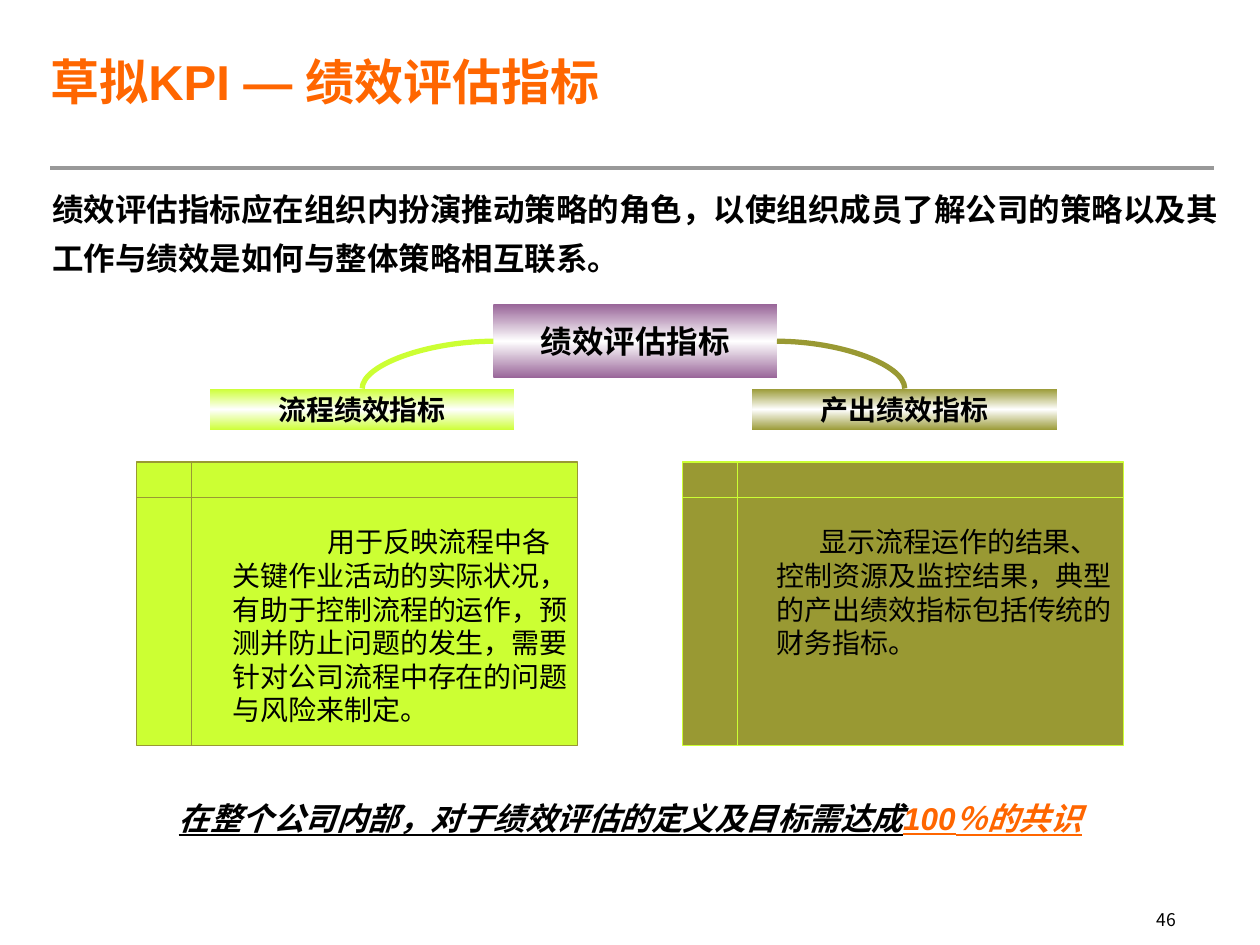
from copy import deepcopy

from lxml import etree
from pptx import Presentation
from pptx.dml.color import RGBColor
from pptx.enum.shapes import MSO_CONNECTOR, MSO_SHAPE
from pptx.enum.text import MSO_ANCHOR, PP_ALIGN
from pptx.oxml.ns import qn
from pptx.util import Pt

STRAIGHT, CURVE = MSO_CONNECTOR.STRAIGHT, MSO_CONNECTOR.CURVE
RECTANGLE, STORAGE = MSO_SHAPE.RECTANGLE, MSO_SHAPE.FLOWCHART_INTERNAL_STORAGE
TOP, MIDDLE = MSO_ANCHOR.TOP, MSO_ANCHOR.MIDDLE
LEFT, CENTER = PP_ALIGN.LEFT, PP_ALIGN.CENTER

ORANGE = RGBColor(0xFF, 0x66, 0x00)
BLACK = RGBColor(0, 0, 0)
WHITE = RGBColor(0xFF, 0xFF, 0xFF)
GRAY = RGBColor(0x99, 0x99, 0x99)
PURPLE = RGBColor(0x99, 0x66, 0x99)
LIME = RGBColor(0xCC, 0xFF, 0x33)
OLIVE = RGBColor(0x99, 0x99, 0x33)
LATIN, CJK = "Arial", "Noto Sans CJK SC"


def add_span(para, text, size=18, font=CJK, color=BLACK, bold=False,
             italic=False, underline=False):
    span = para.add_run()
    span.text = text
    span.font.size = Pt(size)
    span.font.name = font
    span.font.bold = bold
    span.font.italic = italic
    span.font.underline = underline
    span.font.color.rgb = color
    east_asian = etree.Element(qn("a:ea"), typeface=CJK)
    span.font._element.find(qn("a:latin")).addnext(east_asian)


class SlideBuilder:
    def __init__(self, page):
        self.page = page

    def set_text(self, shape, spans, align=LEFT, anchor=TOP, wrap=True,
                 spacing=None, indent=0, margins=(0, 0)):
        """Fill a shape with one paragraph of (text, format) spans."""
        frame = shape.text_frame
        frame.word_wrap = wrap
        frame.vertical_anchor = anchor
        frame.margin_left = frame.margin_right = Pt(margins[0])
        frame.margin_top = frame.margin_bottom = Pt(margins[1])
        para = frame.paragraphs[0]
        para.alignment = align
        para.line_spacing = spacing
        if indent:
            para._p.get_or_add_pPr().set("indent", str(Pt(indent)))
        for text, style in spans:
            add_span(para, text, **style)

    def text(self, left, top, width, height, spans, **layout):
        box = self.page.shapes.add_textbox(Pt(left), Pt(top), Pt(width), Pt(height))
        self.set_text(box, spans, **layout)

    def shape(self, kind, left, top, width, height):
        shape = self.page.shapes.add_shape(kind, Pt(left), Pt(top), Pt(width), Pt(height))
        shape.shadow.inherit = False
        return shape

    def banner(self, left, top, width, height, label, color, size):
        """Rectangle shaded from colour to white and back."""
        shape = self.shape(RECTANGLE, left, top, width, height)
        shape.line.fill.background()
        shape.fill.gradient()
        shape.fill.gradient_angle = 90
        for stop, position in zip(shape.fill.gradient_stops, (0, 1)):
            stop.color.rgb = color
            stop.position = position
        first = shape._element.spPr.find(".//" + qn("a:gs"))
        first.addnext(deepcopy(first))
        center = shape.fill.gradient_stops[1]
        center.color.rgb = WHITE
        center.position = 0.5
        self.set_text(shape, [(label, dict(size=size, bold=True))],
                      align=CENTER, anchor=MIDDLE, wrap=False)

    def panel(self, left, top, width, height, fill, line):
        shape = self.shape(STORAGE, left, top, width, height)
        shape.fill.solid()
        shape.fill.fore_color.rgb = fill
        shape.line.color.rgb = line
        shape.line.width = Pt(0.75)

    def line(self, kind, x1, y1, x2, y2, color, width):
        line = self.page.shapes.add_connector(kind, Pt(x1), Pt(y1), Pt(x2), Pt(y2))
        line.line.color.rgb = color
        line.line.width = Pt(width)
        properties = line._element.spPr
        etree.SubElement(properties, qn("a:effectLst"))
        if kind == CURVE:  # a single quarter bend
            properties.find(qn("a:prstGeom")).set("prst", "curvedConnector2")


def main():
    deck = Presentation()
    deck.slide_width, deck.slide_height = Pt(720), Pt(540)
    page = deck.slides.add_slide(deck.slide_layouts[6])
    builder = SlideBuilder(page)

    # Title, rule and page number
    builder.line(STRAIGHT, 28.8, 96, 694, 96, GRAY, 2.5)
    builder.text(654, 516, 62, 21.6, [("46", dict(size=10))],
                 wrap=False, margins=(7.2, 3.6))
    builder.text(28.8, 13.5, 666, 66,
                 [("草拟KPI — 绩效评估指标",
                   dict(size=28, font=LATIN, color=ORANGE, bold=True))],
                 anchor=MIDDLE)

    # Introduction
    builder.text(30, 102, 666, 60,
                 [("绩效评估指标应在组织内扮演推动策略的角色，以使组织成员了解公司的策略以及"
                   "其工作与绩效是如何与整体策略相互联系。", dict(font=LATIN, bold=True))],
                 spacing=1.3)

    # Root of the tree
    root_left, root_top, root_width, root_height = 282, 174, 162, 42
    root_middle = root_top + root_height / 2
    builder.banner(root_left, root_top, root_width, root_height,
                   "绩效评估指标", PURPLE, 18)

    # Branches: label, colours, banner left, curve start, panel left, text box
    branches = [
        ("流程绩效指标", LIME, OLIVE, 120, root_left, 78, 133, 192, 54,
         "用于反映流程中各关键作业活动的实际状况，有助于控制流程的运作，"
         "预测并防止问题的发生，需要针对公司流程中存在的问题与风险来制定。"),
        ("产出绩效指标", OLIVE, LIME, 430, root_left + root_width, 390, 444, 198, 24.5,
         "显示流程运作的结果、控制资源及监控结果，典型的产出绩效指标包括传统的财务指标。"),
    ]
    banner_top, banner_width = 222, 174
    for (label, color, edge, banner_left, start, panel_left,
         text_left, text_width, indent, detail) in branches:
        builder.banner(banner_left, banner_top, banner_width, 24, label, color, 16)
        builder.line(CURVE, start, root_middle, banner_left + banner_width / 2,
                     banner_top, color, 3)
        builder.panel(panel_left, 264, 252, 162, color, edge)
        builder.text(text_left, 300, text_width, 126,
                     [(detail, dict(size=16))], indent=indent)

    # Conclusion
    emphasis = dict(bold=True, italic=True, underline=True)
    builder.text(78, 450, 564, 30,
                 [("在整个公司内部，对于绩效评估的定义及目标需达成", emphasis),
                  ("100", dict(emphasis, font=LATIN, color=ORANGE)),
                  ("％的共识", dict(emphasis, color=ORANGE))],
                 align=CENTER, spacing=1.3)

    deck.save("out.pptx")


if __name__ == "__main__":
    main()
